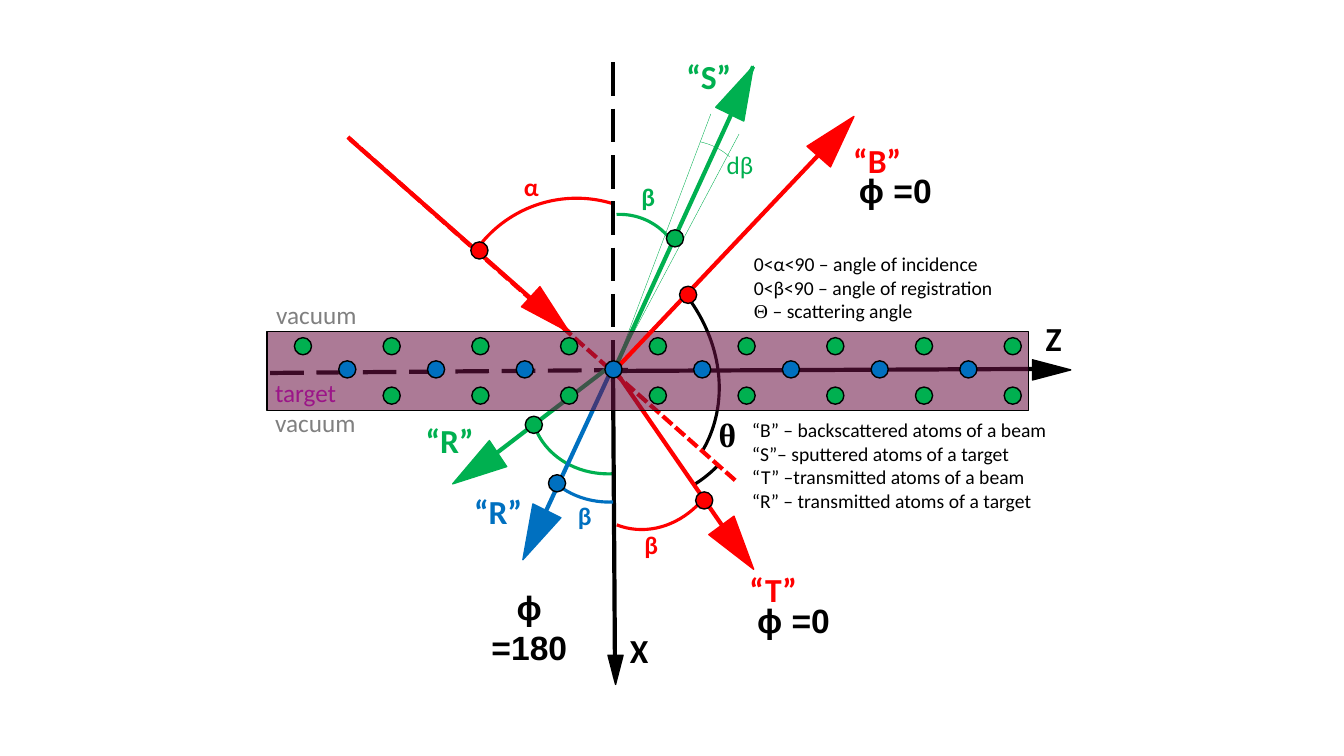
from lxml import etree
from pptx import Presentation
from pptx.dml.color import RGBColor as RGB
from pptx.enum.dml import MSO_LINE as Dash
from pptx.enum.shapes import MSO_CONNECTOR as Link, MSO_SHAPE as Form
from pptx.enum.text import MSO_ANCHOR as Anchor, PP_ALIGN as Align
from pptx.oxml.ns import qn
from pptx.util import Inches, Pt

BLACK = RGB(0, 0, 0)
RED = RGB(0xFF, 0, 0)
GREEN = RGB(0, 0xB0, 0x50)
BLUE = RGB(0, 0x70, 0xC0)
GRAY = RGB(0x80, 0x80, 0x80)
PLUM = RGB(0x6C, 0x13, 0x45)
VIOLET = RGB(0x9B, 0x15, 0x88)

CELL = Inches(0.1)  # grid pitch: ten columns or rows to the inch


class Sketch:
    face = "Calibri"
    dot_size = 1.7

    def __init__(self, slide):
        self.shapes = slide.shapes

    def grid(self, *cells):
        return [round(n * CELL) for n in cells]

    def shape(self, form, box, fill, edge=BLACK, width=1, turn=0):
        item = self.shapes.add_shape(form, *self.grid(*box))
        item.shadow.inherit = False
        item.rotation = turn
        if fill is None:
            item.fill.background()
        else:
            item.fill.solid()
            item.fill.fore_color.rgb = fill
        item.line.color.rgb = edge
        item.line.width = Pt(width)
        return item

    def arc(self, box, turn, start, end, color, width=2.25):
        item = self.shape(Form.ARC, box, None, color, width, turn)
        for i, angle in enumerate((start, end)):
            item.adjustments[i] = angle * 0.6  # degrees to shape units

    def head(self, box, turn, color):
        self.shape(Form.FLOWCHART_EXTRACT, box, color, color, turn=turn)

    def dot(self, col, row, color):
        self.shape(Form.OVAL, (col, row, self.dot_size, self.dot_size), color)

    def band(self, box, color, alpha):
        item = self.shape(Form.RECTANGLE, box, color)
        tint = item.fill._xPr.find(".//" + qn("a:srgbClr"))
        etree.SubElement(tint, qn("a:alpha"), val=str(alpha * 1000))

    def line(self, start, end, color, width=3, dash=None):
        item = self.shapes.add_connector(Link.STRAIGHT, *self.grid(*start, *end))
        etree.SubElement(item._element.spPr, qn("a:effectLst"))
        item.line.color.rgb = color
        item.line.width = Pt(width)
        if dash:
            item.line.dash_style = dash

    def text(self, box, lines, size, color=BLACK, bold=False, face=None,
             align=Align.LEFT, anchor=Anchor.TOP):
        frame = self.shapes.add_textbox(*self.grid(*box)).text_frame
        frame.word_wrap = True
        frame.vertical_anchor = anchor
        for i, line in enumerate(lines):
            para = frame.add_paragraph() if i else frame.paragraphs[0]
            para.alignment = align
            font = para.font
            font.size, font.bold = Pt(size), bold
            font.name = face or self.face
            font.color.rgb = color
            for words, own in [(line, None)] if isinstance(line, str) else line:
                run = para.add_run()
                run.text = words
                if own:
                    run.font.name = own

    def label(self, col, row, words, color=BLACK, size=24, wide=9.4, bold=True, face=None):
        self.text((col, row, wide, 6), [words], size, color, bold, face,
                  Align.CENTER, Anchor.MIDDLE)


def main():
    deck = Presentation()
    deck.slide_width, deck.slide_height = Inches(13.33), Inches(7.5)
    art = Sketch(deck.slides.add_slide(deck.slide_layouts[6]))

    # Angle arcs behind the target
    art.arc((44.2, 20.5, 32.3, 27.7), 57.6, 350.17, 0.1, BLACK)
    art.arc((52.5, 31.9, 16.9, 15), 161, 290.86, 355.77, GREEN)
    art.arc((39.6, 22.7, 32.3, 27.7), 30.5, 298.8, 0.1, BLACK)
    art.arc((55.8, 36.7, 16.9, 15), 111.4, 290.86, 0, RED)
    art.arc((54.9, 21.3, 12.9, 12.7), 325.7, 302.46, 0, GREEN)
    art.arc((44.9, 19.7, 24.5, 24.4), 298.9, 277.62, 348.14, RED)
    art.arc((61.6, 14, 12.9, 12.7), 312, 330.45, 0, GREEN, 0.25)

    # Axes
    art.line((60.8, 36.5), (61, 67.2), BLACK)
    art.line((61.4, 36.8), (103.1, 36.6), BLACK)
    art.line((26.8, 37), (63.2, 36.7), BLACK, dash=Dash.LONG_DASH)
    art.line((60.8, 6.2), (60.8, 36.9), BLACK, dash=Dash.LONG_DASH)

    # Rays behind the target
    art.line((60.3, 36.5), (48.4, 45.6), GREEN)
    art.line((60.6, 36.8), (53.5, 52.1), BLUE)
    art.line((34.5, 13.6), (73.2, 47.9), RED, dash=Dash.SQUARE_DOT)
    art.line((61.1, 36.9), (71.6, 52.1), RED)
    art.line((61, 36.5), (74.7, 6.6), GREEN)
    art.line((56.5, 33), (34.7, 13.8), RED)
    art.line((73.3, 13.3), (60.5, 37.4), GREEN, 0.25)
    art.line((70.5, 11.3), (60.8, 37), GREEN, 0.25)

    # Arrowheads
    for box, turn, color in (
        ((60.3, 65, 1.5, 2.9), 180, BLACK),
        ((103.3, 34.8, 2, 3.8), 90, BLACK),
        ((71.6, 51.6, 3.1, 5.4), 143.7, RED),
        ((72, 6.3, 3.1, 5.3), 26.2, GREEN),
        ((53.2, 28.6, 2.7, 5.2), 132.6, RED),
        ((81.4, 10.9, 3.1, 5.3), 41.3, RED),
        ((51.5, 50.4, 3.1, 5.4), 206.2, BLUE),
        ((45.6, 43.8, 3.1, 5.4), 236.3, GREEN),
    ):
        art.head(box, turn, color)

    # Target and the backscattered ray over it
    art.band((26.5, 32.9, 75.5, 7.8), PLUM, 56)
    art.line((60.9, 36.8), (83.9, 12.5), RED)

    # Target lattice: the bottom row lacks its first atom
    for row, left, first, count, color in ((33.5, 29.2, 0, 9, GREEN),
                                           (35.8, 33.6, 0, 8, BLUE),
                                           (38.4, 29.2, 1, 9, GREEN)):
        for i in range(first, count):
            art.dot(left + 8.8 * i, row, color)

    # Moving atoms
    art.arc((52.6, 34.7, 16.9, 15), 161, 290.86, 333.15, BLUE)
    for col, row, color in ((46.7, 24, RED), (69, 48.8, RED), (67.4, 28.4, RED),
                            (66.1, 22.8, GREEN), (54.4, 47.1, BLUE), (52.1, 41.3, GREEN)):
        art.dot(col, row, color)

    # Ray and axis names
    for col, row, words, color in ((65.6, 4.5, "“S”", GREEN), (82.3, 12.9, "“B”", RED),
                                   (72, 55.4, "“T”", RED), (44.7, 47.7, "“R”", BLUE),
                                   (39.9, 40.7, "“R”", GREEN),
                                   (58.7, 61.5, "X", BLACK), (99.8, 30.5, "Z", BLACK)):
        art.label(col, row, words, color)

    # Angle names
    for col, row, words, color in ((60.8, 51, "β", RED), (60.5, 16.5, "β", GREEN),
                                   (54.2, 48.1, "β", BLUE), (48.9, 15.5, "α", RED)):
        art.label(col, row, words, color, 18, 7.6)
    art.label(69.6, 13.3, "dβ", GREEN, 18, 7.6, bold=False)
    art.text((70.3, 40.6, 6.9, 5), ["θ"], 24, bold=True, face="Times New Roman")
    for col, row, words in ((83, 15.9, "ϕ =0"), (72.9, 58.5, "ϕ =0"), (46.7, 59.2, "ϕ =180")):
        art.label(col, row, words, wide=11.6, face="Arial")

    # Media names
    art.text((26.3, 36.9, 8.7, 4), ["target"], 18, VIOLET)
    for col, row in ((26.3, 39.9), (26.4, 29.2)):
        art.text((col, row, 10.5, 4), ["vacuum"], 18, GRAY)

    # Legends
    art.text((73.8, 24.5, 37.3, 8.1), [
        "0<α<90 – angle of incidence",
        "0<β<90 – angle of registration",
        [("Θ", "Times New Roman"), (" – scattering angle", None)],
    ], 14)
    art.text((73.6, 41, 37.6, 10.4), [
        "“B” – backscattered atoms of a beam",
        "“S”– sputtered atoms of a target",
        "“T” –transmitted atoms of a beam",
        "“R” – transmitted atoms of a target",
    ], 14)

    deck.save("out.pptx")


if __name__ == "__main__":
    main()
